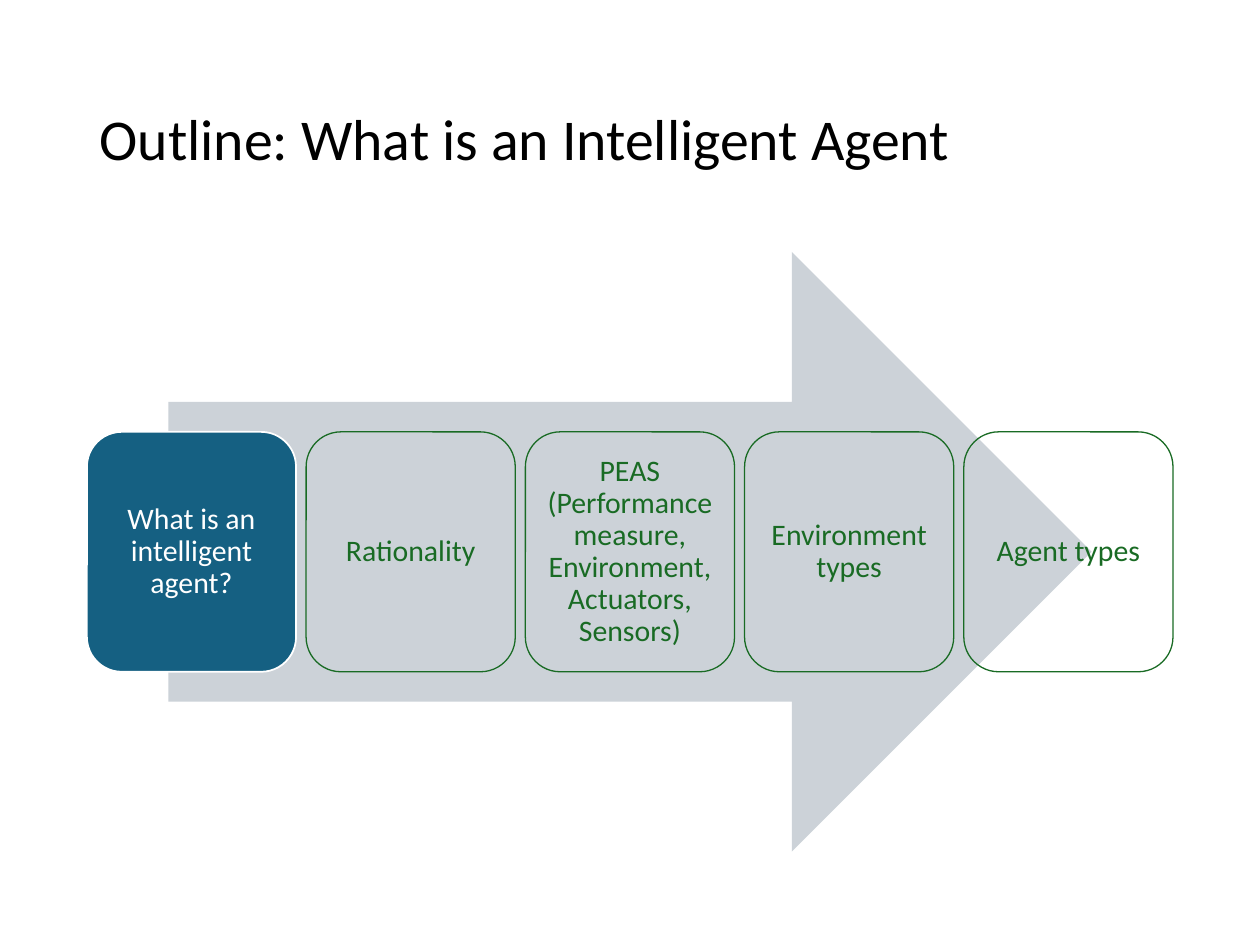
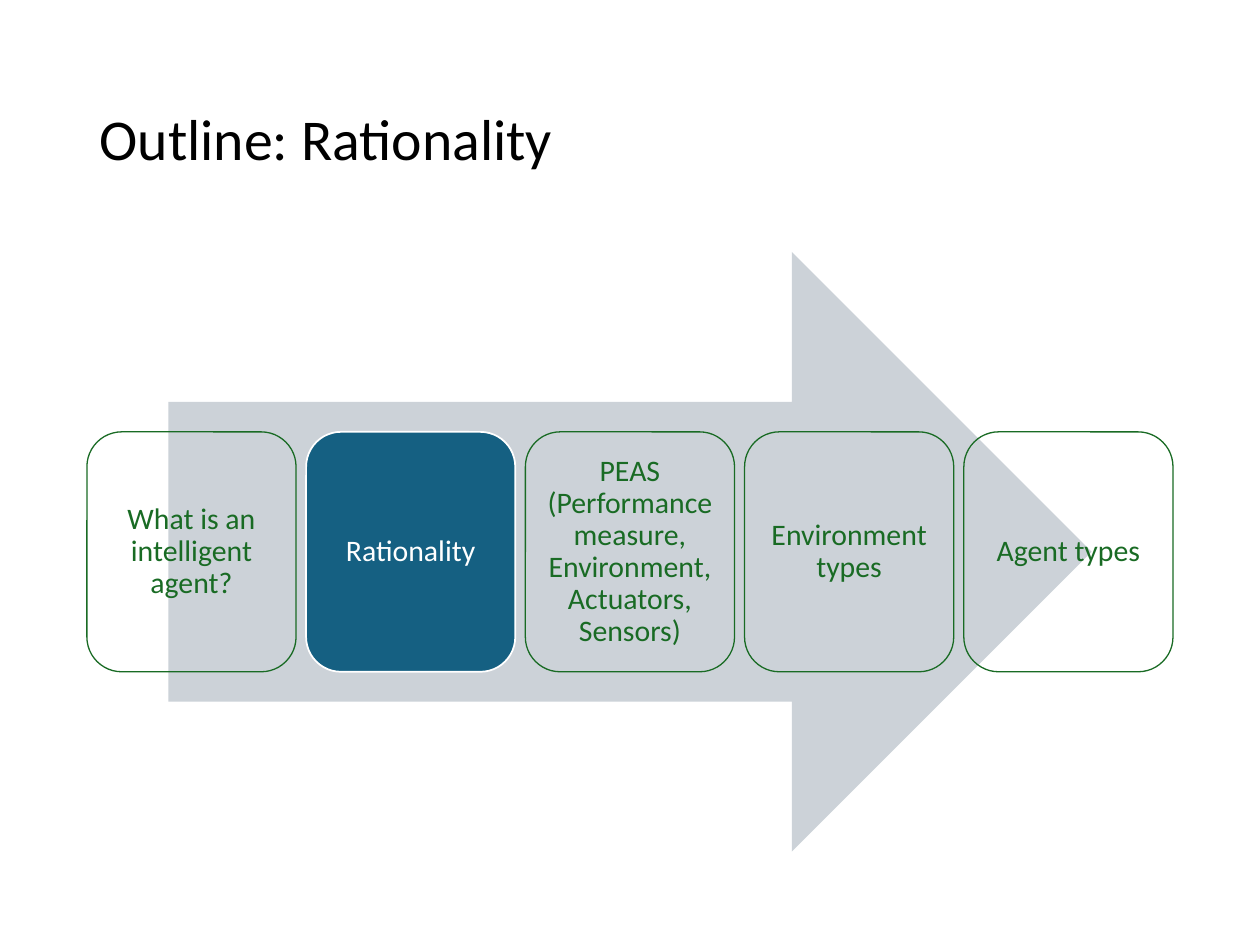
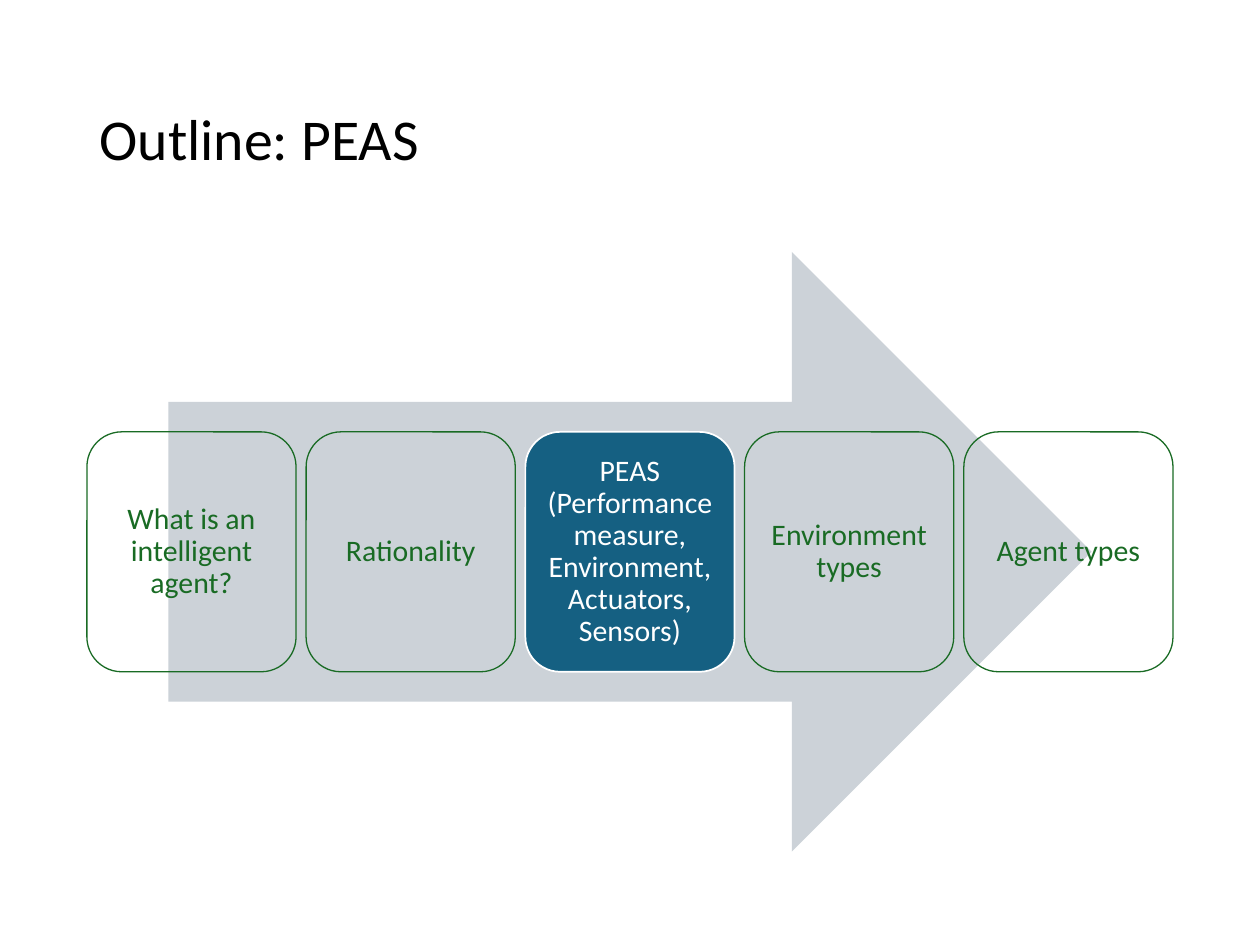
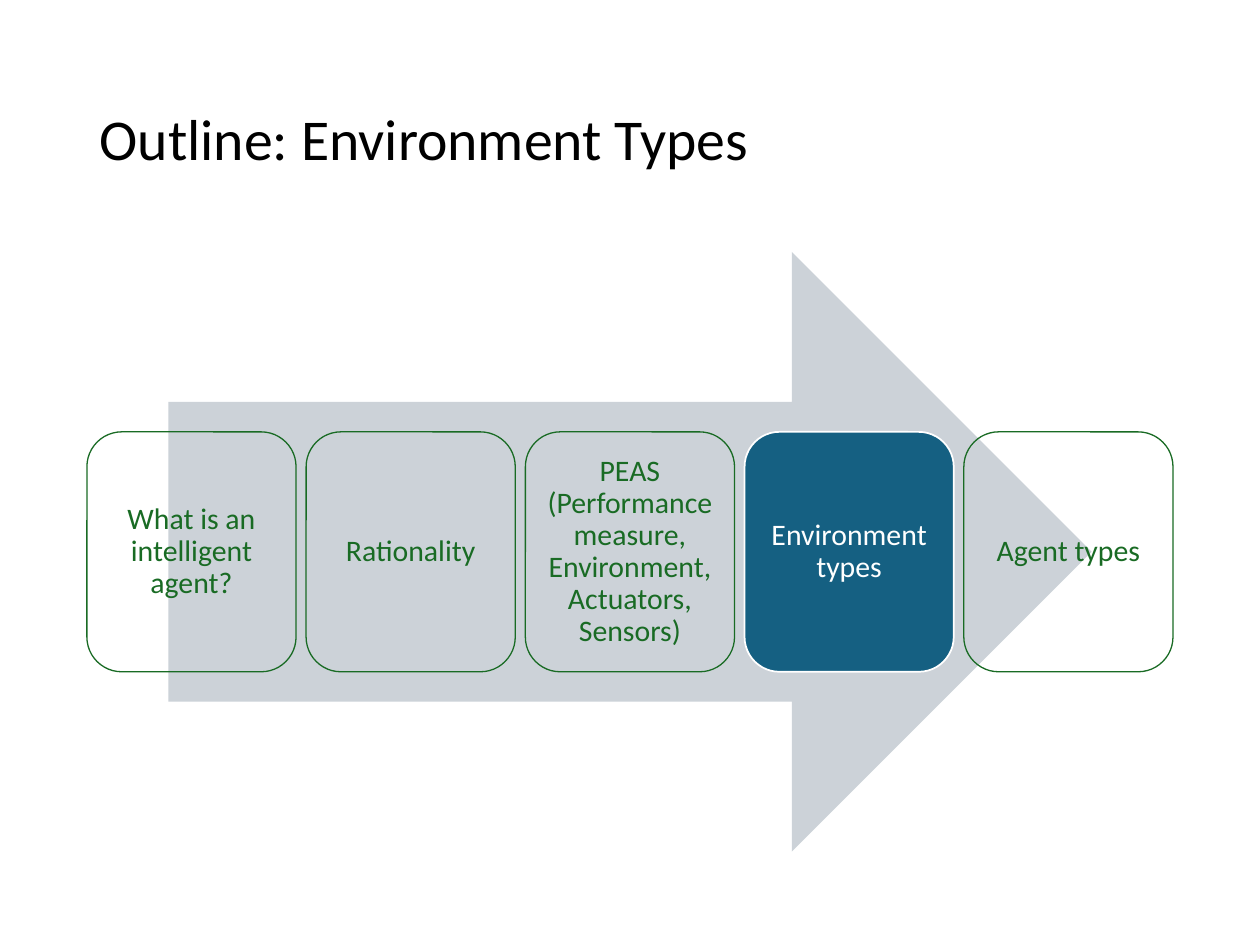
from pptx import Presentation
from pptx.dml.color import RGBColor
from pptx.enum.shapes import MSO_SHAPE
from pptx.enum.text import MSO_ANCHOR, MSO_AUTO_SIZE, PP_ALIGN
from pptx.util import Inches, Pt

TOPICS = [
    "What is an intelligent agent?",
    "Rationality",
    "PEAS (Performance measure, Environment, Actuators, Sensors)",
    "Environment types",
    "Agent types",
]
TITLES = [
    "Outline: What is an Intelligent Agent",
    "Outline: Rationality",
    "Outline: PEAS",
    "Outline: Environment Types",
]


def color(hex_code):
    return RGBColor.from_string(hex_code)


def assign(target, values):
    for key, value in values.items():
        setattr(target, key, value)


class OutlineDeck:
    FONT = "Calibri"
    TITLE_COLOR = "000000"
    ARROW_COLOR = "CCD2D8"
    CURRENT = {"fill": "156082", "line": "FFFFFF", "width": 1, "text": "FFFFFF"}
    OTHER = {"fill": None, "line": "196B24", "width": 0.75, "text": "196B24"}

    MARGIN = 0.69
    CONTENT_WIDTH = 8.62
    GAP = 0.08
    TITLE_TOP, TITLE_HEIGHT = 0.4, 1.45
    FLOW_TOP, FLOW_HEIGHT = 2, 4.76
    ARROW_SHARE, STEP_SHARE = 0.85, 0.4

    def __init__(self):
        self.deck = Presentation()
        assign(self.deck, {"slide_width": Inches(10), "slide_height": Inches(7.5)})
        self.slide = None

    def add_slide(self, title):
        self.slide = self.deck.slides.add_slide(self.deck.slide_layouts[5])
        heading = self.slide.shapes.title
        assign(heading, {
            "left": Inches(self.MARGIN),
            "top": Inches(self.TITLE_TOP),
            "width": Inches(self.CONTENT_WIDTH),
            "height": Inches(self.TITLE_HEIGHT),
        })
        self.set_text(heading, title, 33, self.TITLE_COLOR, PP_ALIGN.LEFT)

    def set_text(self, shape, text, size, text_color, alignment):
        frame = shape.text_frame
        frame.text = text
        assign(frame, {
            "word_wrap": True,
            "auto_size": MSO_AUTO_SIZE.NONE,
            "vertical_anchor": MSO_ANCHOR.MIDDLE,
        })
        paragraph = frame.paragraphs[0]
        assign(paragraph, {"alignment": alignment, "line_spacing": 0.9})
        font = paragraph.runs[0].font
        assign(font, {"name": self.FONT, "size": Pt(size)})
        font.color.rgb = color(text_color)

    def add_box(self, flow, kind, left, width, height, fill):
        top = self.FLOW_TOP + (self.FLOW_HEIGHT - height) / 2
        box = flow.shapes.add_shape(
            kind, Inches(left), Inches(top), Inches(width), Inches(height))
        box.shadow.inherit = False
        if fill:
            box.fill.solid()
            box.fill.fore_color.rgb = color(fill)
        else:
            box.fill.background()
        return box

    def add_arrow(self, flow):
        width = self.CONTENT_WIDTH * self.ARROW_SHARE
        left = self.MARGIN + (self.CONTENT_WIDTH - width) / 2
        arrow = self.add_box(flow, MSO_SHAPE.RIGHT_ARROW, left, width,
                             self.FLOW_HEIGHT, self.ARROW_COLOR)
        arrow.line.fill.background()

    def add_step(self, flow, column, topic, style):
        pitch = (self.CONTENT_WIDTH + self.GAP) / len(TOPICS)
        step = self.add_box(flow, MSO_SHAPE.ROUNDED_RECTANGLE,
                            self.MARGIN + column * pitch, pitch - self.GAP,
                            self.FLOW_HEIGHT * self.STEP_SHARE, style["fill"])
        step.line.color.rgb = color(style["line"])
        step.line.width = Pt(style["width"])
        sides = ("left", "top", "right", "bottom")
        assign(step.text_frame, {f"margin_{side}": Inches(0.07) for side in sides})
        self.set_text(step, topic, 17, style["text"], PP_ALIGN.CENTER)

    def add_flow(self, current):
        flow = self.slide.shapes.add_group_shape()
        self.add_arrow(flow)
        for column, topic in enumerate(TOPICS):
            style = self.CURRENT if column == current else self.OTHER
            self.add_step(flow, column, topic, style)


def main():
    outline = OutlineDeck()
    for current, title in enumerate(TITLES):
        outline.add_slide(title)
        outline.add_flow(current)
    outline.deck.save("out.pptx")


if __name__ == "__main__":
    main()
